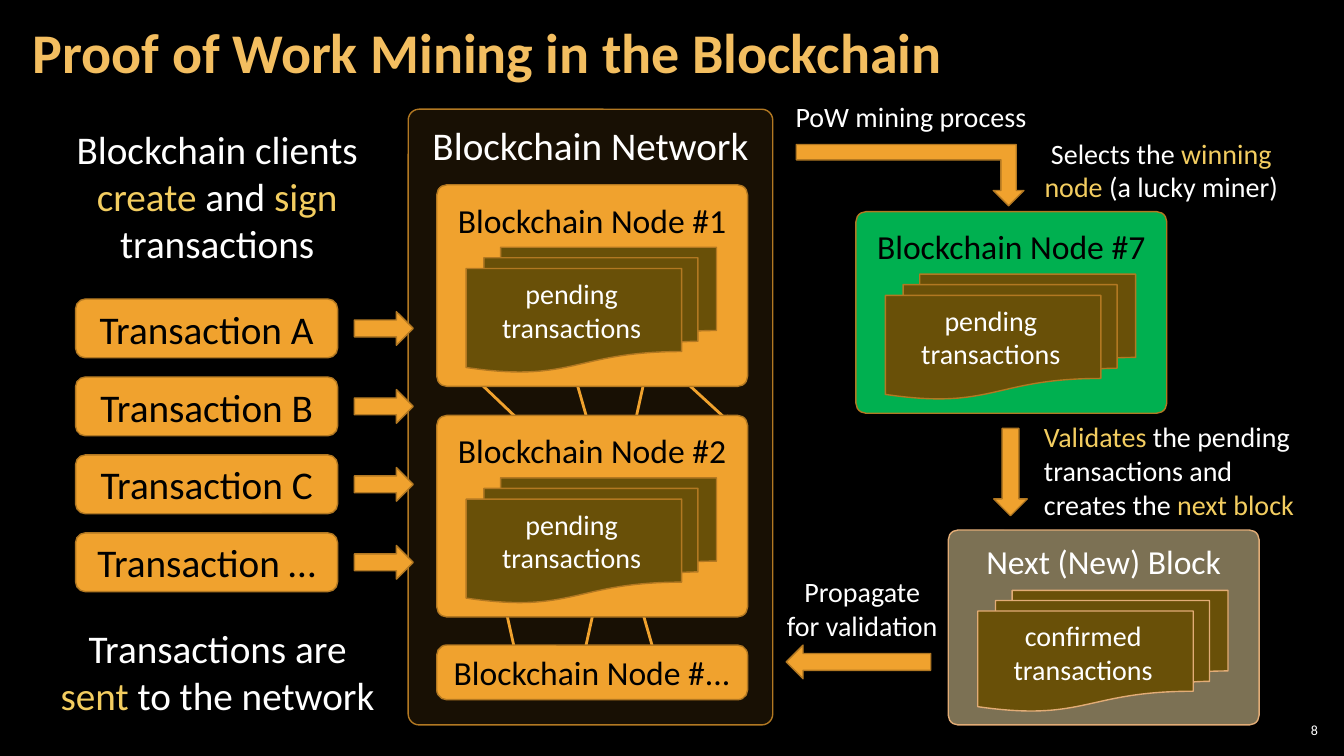
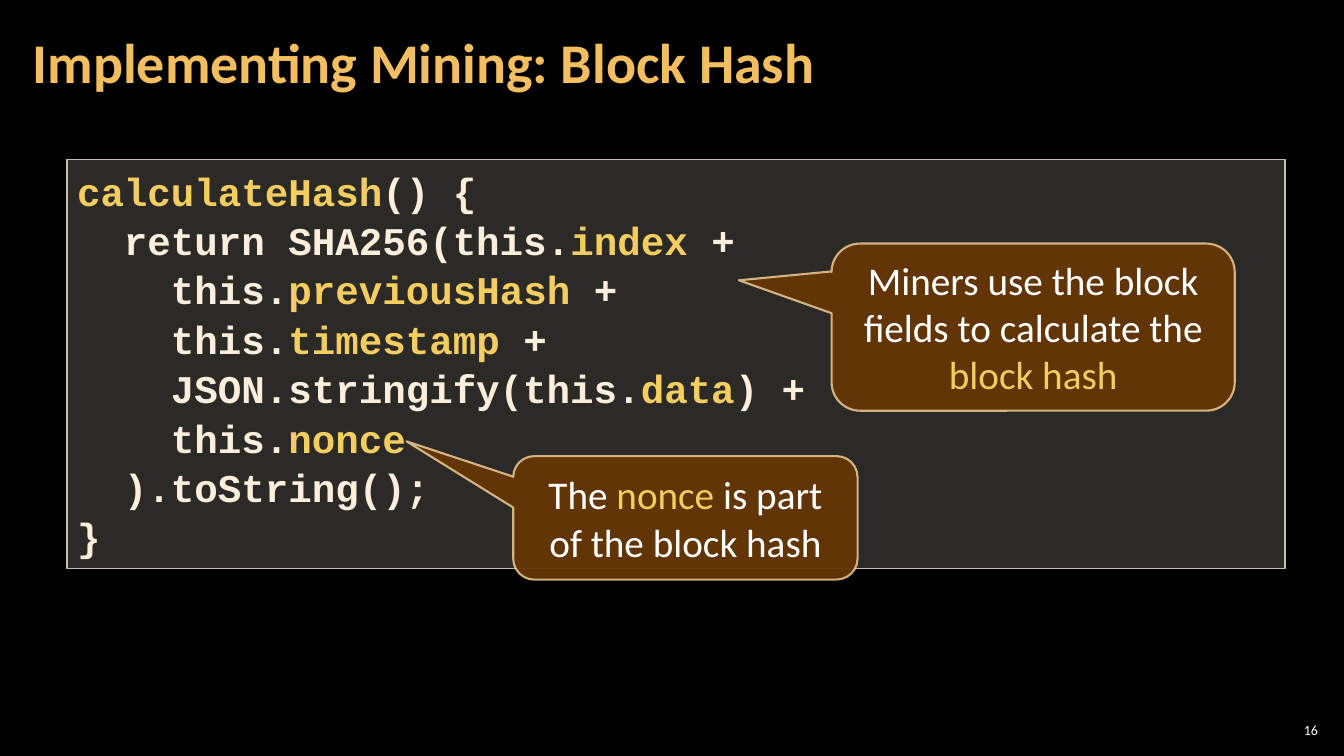
"""Builds two slides on proof of work mining, laid out on a grid of 160 columns by 90 rows."""
from dataclasses import dataclass

from lxml.etree import SubElement
from pptx import Presentation
from pptx.dml.color import RGBColor
from pptx.enum.shapes import MSO_CONNECTOR, MSO_SHAPE
from pptx.enum.text import MSO_ANCHOR, PP_ALIGN
from pptx.oxml.ns import qn
from pptx.util import Inches, Pt

RECT, ROUND = MSO_SHAPE.RECTANGLE, MSO_SHAPE.ROUNDED_RECTANGLE
DOCS = MSO_SHAPE.FLOWCHART_MULTIDOCUMENT
CALL = MSO_SHAPE.ROUNDED_RECTANGULAR_CALLOUT
RIGHT, DOWN, LEFT = MSO_SHAPE.RIGHT_ARROW, MSO_SHAPE.DOWN_ARROW, MSO_SHAPE.LEFT_ARROW
BENT = MSO_SHAPE.BENT_UP_ARROW
STRAIGHT = MSO_CONNECTOR.STRAIGHT
TOP, MID = MSO_ANCHOR.TOP, MSO_ANCHOR.MIDDLE
START, MIDDLE, END = PP_ALIGN.LEFT, PP_ALIGN.CENTER, PP_ALIGN.RIGHT
UNIT = Inches(1) // 12


@dataclass(frozen=True)
class Theme:
    back: str = "000000"
    white: str = "FFFFFF"
    black: str = "000000"
    title: str = "F3BE60"
    accent: str = "F3CD60"
    main: str = "F0A22E"
    edge: str = "B27822"
    paper: str = "695008"
    winner: str = "00B050"
    block: str = "7C7154"
    rim: str = "E2AC76"
    panel: str = "D9D5C7"
    frame: str = "C7BFAC"
    code: str = "FBEEDC"
    note: str = "663606"
    glow: str = "F8D49E"
    font: str = "Calibri"
    mono: str = "Courier New"
    head: int = 40
    big: int = 28
    mid: int = 24
    small: int = 20
    tiny: int = 10


T = Theme()


def grid(*cells):
    return [round(cell * UNIT) for cell in cells]


def rgb(color):
    return RGBColor.from_string(color)


def fade(node, share):
    color = node.find(qn("a:solidFill"))[0]
    SubElement(color, qn("a:alpha"), val=str(share * 1000))


class Deck:
    def __init__(self):
        self.prs = Presentation()
        self.prs.slide_width, self.prs.slide_height = grid(160, 90)
        fill = self.prs.slide_master.background.fill
        fill.solid()
        fill.fore_color.rgb = rgb(T.back)

    def page(self, title, number, rows):
        self.slide = self.prs.slides.add_slide(self.prs.slide_layouts[6])
        self.text((151.8, 85.7, 5.6, 2.5), number, T.tiny, align=END,
                  anchor=MID, pad=(0.5, 0.5))
        self.text((2.5, 0.5, 125.6, rows), title, T.head, T.title, align=START,
                  anchor=MID, pad=(1.4, 0.5), bold=True, space=0.9)

    def label(self, shape, text, size, color=T.white, align=MIDDLE, anchor=TOP,
              pad=(1.2, 0.6), wrap=True, font=T.font, bold=False, space=None):
        frame = shape.text_frame
        side, edge = grid(*pad)
        form = {"word_wrap": wrap, "vertical_anchor": anchor,
                "margin_left": side, "margin_right": side,
                "margin_top": edge, "margin_bottom": edge}
        for key, value in form.items():
            setattr(frame, key, value)
        style = {"size": Pt(size), "name": font, "bold": bold}
        for index, row in enumerate(text.split("\n")):
            para = frame.add_paragraph() if index else frame.paragraphs[0]
            for key, value in {"alignment": align, "line_spacing": space}.items():
                setattr(para, key, value)
            for turn, part in enumerate(row.split("*")):
                for step, words in enumerate(part.split("\v")):
                    if step:
                        para.add_line_break()
                    if words:
                        run = para.add_run()
                        run.text = words
                        for key, value in style.items():
                            setattr(run.font, key, value)
                        run.font.color.rgb = rgb(T.accent if turn % 2 else color)

    def text(self, box, text, size=T.small, color=T.white, **form):
        self.label(self.slide.shapes.add_textbox(*grid(*box)), text, size, color, **form)

    def shape(self, kind, box, fill=T.main, line=T.edge, width=1, adjust=(),
              solid=100, shade=100):
        shape = self.slide.shapes.add_shape(kind, *grid(*box))
        shape.shadow.inherit = False
        shape.fill.solid()
        shape.fill.fore_color.rgb = rgb(fill)
        shape.line.color.rgb = rgb(line)
        shape.line.width = Pt(width)
        for index, value in enumerate(adjust):
            shape.adjustments[index] = value
        props = shape._element.spPr
        for node, share in ((props, solid), (props.find(qn("a:ln")), shade)):
            if share < 100:
                fade(node, share)
        return shape

    def bent(self, box):
        shape = self.shape(BENT, box)
        shape._element.spPr.find(qn("a:xfrm")).set("flipV", "1")

    def link(self, *ends):
        line = self.slide.shapes.add_connector(STRAIGHT, *grid(*ends))
        line.line.color.rgb = rgb(T.main)
        line.line.width = Pt(2)
        props = line._element.spPr
        SubElement(props.find(qn("a:ln")), qn("a:tailEnd"), type="triangle")
        SubElement(props, qn("a:effectLst"))

    def card(self, left, top, high, title, words, fill=T.main, line=T.edge, color=T.black):
        box = self.shape(ROUND, (left, top, 37, high), fill, line, adjust=(0.05,))
        self.label(box, title, T.mid, color, pad=(1.2, high / 2 - 10.6))
        self.shape(DOCS, (left + 3.5, top + 0.31 * high, 29.8, 0.62 * high), T.paper, line)
        self.text((left + 4.6, top + 0.43 * high, 22.9, 9.2), words)

    def note(self, box, text, adjust):
        shape = self.shape(CALL, box, T.note, T.glow, 1.5, adjust, 95, 80)
        self.label(shape, text, T.big, anchor=MID)


def mining(deck):
    deck.page("Proof of Work Mining in the Blockchain", "8", 12.2)
    deck.text((6.7, 14.3, 38.3, 18.1),
              "Blockchain clients *create* and *sign* transactions", T.big)
    deck.text((4.3, 73.7, 43.2, 12.5),
              "Transactions are\v*sent* to the network", T.big)

    for ends in ((81, 44.9, 87, 50.4), (68.3, 44.3, 78.8, 80.9),
                 (59.2, 68, 62.2, 81.5), (54, 42.6, 69, 56.9),
                 (76.9, 44.4, 69, 80.3)):
        deck.link(*ends)
    deck.shape(ROUND, (48.6, 13, 43.4, 73.3), adjust=(0.03,), solid=10)
    deck.text((49.2, 13.8, 42.2, 6.9), "Blockchain Network", T.big)
    for index in range(2):
        deck.card(52, 22 + 27.45 * index, 24, f"Blockchain Node #{index + 1}",
                  "pending transactions")
    rest = deck.shape(ROUND, (52, 76.8, 37, 6.5), adjust=(0.18,))
    deck.label(rest, "Blockchain Node #...", T.mid, T.black, anchor=MID)

    for index, name in enumerate("ABC…"):
        top = 35.6 + 9.28 * index
        box = deck.shape(ROUND, (9, top, 31.2, 7))
        deck.label(box, f"Transaction {name}", T.big, T.black, anchor=MID)
        deck.shape(RIGHT, (42.2, top + 1.5, 7, 4))

    deck.card(101.9, 25.2, 24, "Blockchain Node #7", "pending transactions", T.winner)
    deck.card(112.9, 63.1, 23.2, "Next (New) Block", "confirmed transactions",
              T.block, T.rim, T.white)
    deck.bent((94.8, 17.2, 27.1, 7.3))
    deck.shape(DOWN, (118.3, 51, 4, 10.4))
    deck.shape(LEFT, (93.6, 76.8, 17.2, 4))
    for box, words, align in (
            ((93.4, 11.3, 30.1, 5.3), "PoW mining process", MIDDLE),
            ((123, 15.6, 30.5, 9.2), "Selects the *winning\vnode* (a lucky miner)", MIDDLE),
            ((123.1, 49.4, 32.5, 13.3),
             "*Validates* the pending\vtransactions and\vcreates the *next block*", START),
            ((92.4, 67.8, 20.5, 9.2), "Propagate\vfor validation", MIDDLE)):
        deck.text(box, words, align=align, wrap=False)


def hashing(deck):
    deck.page("Implementing Mining: Block Hash", "16", 14.5)
    code = """*calculateHash*() {
  return SHA256(this.*index* +
    this.*previousHash* +
    this.*timestamp* +
    JSON.stringify(this.*data*) +
    this.*nonce*
  ).toString();
}"""
    panel = deck.shape(RECT, (8, 19, 145, 48.7), T.panel, T.frame, solid=20)
    deck.label(panel, code, T.big, T.code, START, font=T.mono, bold=True, space=1.05)
    deck.note((99, 29, 48, 19.9),
              "Miners use the block fields to calculate the *block hash*", (-0.73, -0.28, 0.17))
    deck.note((61.1, 54.3, 41, 14.7),
              "The *nonce* is part of the block hash", (-0.81, -0.62, 0.17))


def main():
    deck = Deck()
    mining(deck)
    hashing(deck)
    deck.prs.save("out.pptx")


if __name__ == "__main__":
    main()
